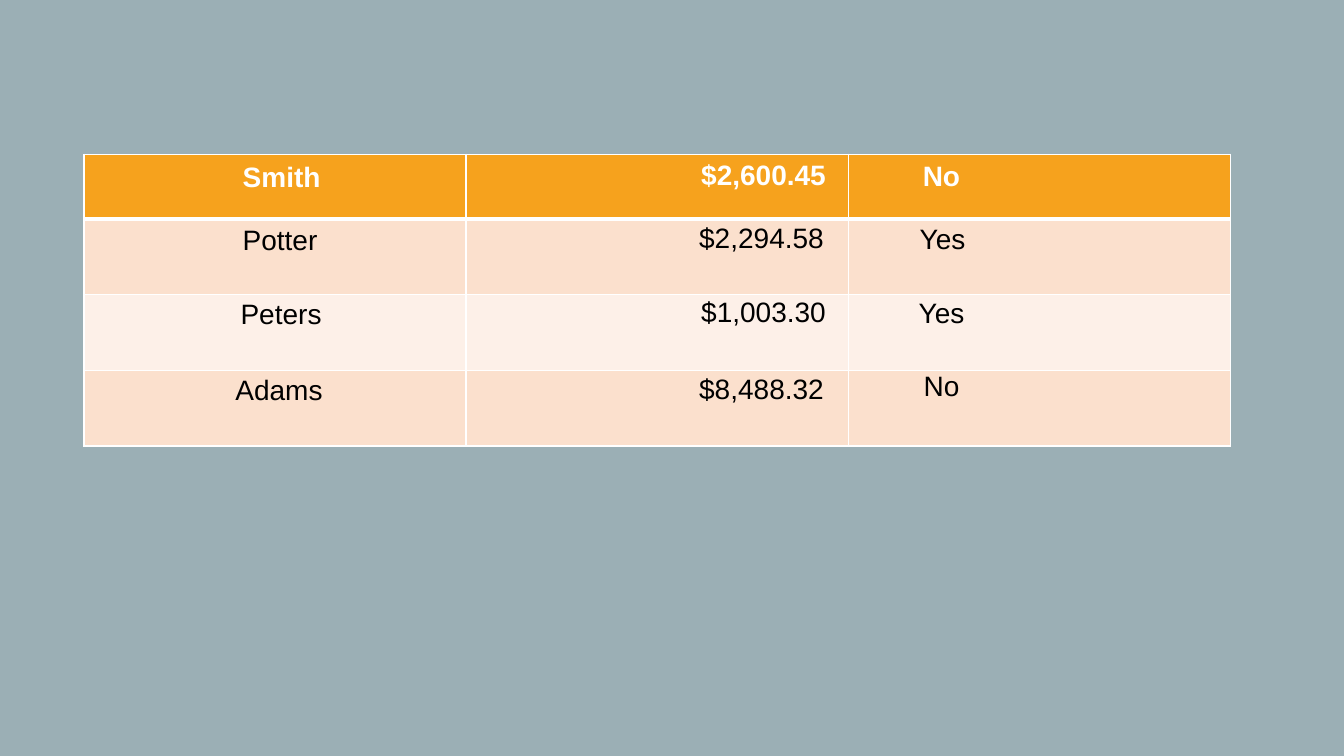
import pptx
import pptx.dml.color
import pptx.enum.text
import pptx.oxml
import pptx.oxml.ns
import pptx.util

ALIGN = pptx.enum.text.PP_ALIGN

# Each entry: text, top inset, left indent, right inset (inches)
ACCOUNTS = [
    [("Smith", 0.08, 0.13, 0.1), ("$2,600.45", 0.06, 0, 0.22), ("No", 0.07, 0.64, 0.1)],
    [("Potter", 0.06, 0.1, 0.1), ("$2,294.58", 0.04, 0, 0.24), ("Yes", 0.05, 0.61, 0.1)],
    [("Peters", 0.04, 0.12, 0.1), ("$1,003.30", 0.02, 0, 0.22), ("Yes", 0.03, 0.6, 0.1)],
    [("Adams", 0.05, 0.08, 0.1), ("$8,488.32", 0.04, 0, 0.24), ("No", 0.01, 0.65, 0.1)],
]
COLUMN_ALIGN = [ALIGN.CENTER, ALIGN.RIGHT, ALIGN.LEFT]


def color(hex_text):
    return pptx.dml.color.RGBColor.from_string(hex_text)


class AccountSlide:
    background = "9BAFB5"
    header_fill = "F6A21D"
    band_fills = ["FDF0E8", "FBE0CD"]
    line = "FFFFFF"
    text_format = {"name": "Arial", "size": pptx.util.Pt(20)}

    def __init__(self, deck):
        self.width, self.height = deck.slide_width, deck.slide_height
        self.slide = deck.slides.add_slide(deck.slide_layouts[6])
        backdrop = self.slide.background.fill
        backdrop.solid()
        backdrop.fore_color.rgb = color(self.background)

    def across(self, percent):
        return round(self.width * percent / 100)

    def down(self, percent):
        return round(self.height * percent / 100)

    def table(self, rows, left, top, column, heights):
        """Place a table; all lengths are percentages of the slide."""
        grid = self.slide.shapes.add_table(
            len(rows), len(rows[0]), self.across(left), self.down(top),
            self.across(column * len(rows[0])), self.down(sum(heights))).table
        for grid_column in grid.columns:
            grid_column.width = self.across(column)
        for number, (entries, height) in enumerate(zip(rows, heights)):
            grid.rows[number].height = self.down(height)
            for position, entry in enumerate(entries):
                self.cell(grid.cell(number, position), number, entry, COLUMN_ALIGN[position])

    def cell(self, cell, row, entry, alignment):
        text, top, indent, right = entry
        margins = {"margin_left": 0.1, "margin_top": top,
                   "margin_right": right, "margin_bottom": 0.05}
        for name, inches in margins.items():
            setattr(cell, name, pptx.util.Inches(inches))
        # The rule below the header is heavier than the others
        self.borders(cell, {"L": 1, "R": 1, "T": 3 if row == 1 else 1, "B": 3 if row == 0 else 1})
        cell.fill.solid()
        cell.fill.fore_color.rgb = color(self.band_fills[row % 2] if row else self.header_fill)

        paragraph = cell.text_frame.paragraphs[0]
        paragraph.alignment = alignment
        properties = paragraph._p.get_or_add_pPr()
        properties.set("marL", str(pptx.util.Inches(indent)))
        properties.set("indent", "0")
        run = paragraph.add_run()
        run.text = text
        for name, value in {**self.text_format, "bold": row == 0}.items():
            setattr(run.font, name, value)
        run.font.color.rgb = color("000000" if row else "FFFFFF")

    def borders(self, cell, widths):
        properties = cell._tc.get_or_add_tcPr()
        for side, points in widths.items():
            properties.append(pptx.oxml.parse_xml(
                f'<a:ln{side} {pptx.oxml.ns.nsdecls("a")} w="{pptx.util.Pt(points)}">'
                f'<a:solidFill><a:srgbClr val="{self.line}"/></a:solidFill></a:ln{side}>'))


def main():
    deck = pptx.Presentation()
    deck.slide_width = pptx.util.Inches(13.33)
    deck.slide_height = pptx.util.Inches(7.5)

    # Account balances
    accounts = AccountSlide(deck)
    accounts.table(ACCOUNTS, left=6.25, top=20.4, column=28.43, heights=[8.6, 10, 10, 10])
    deck.save("out.pptx")


if __name__ == "__main__":
    main()
